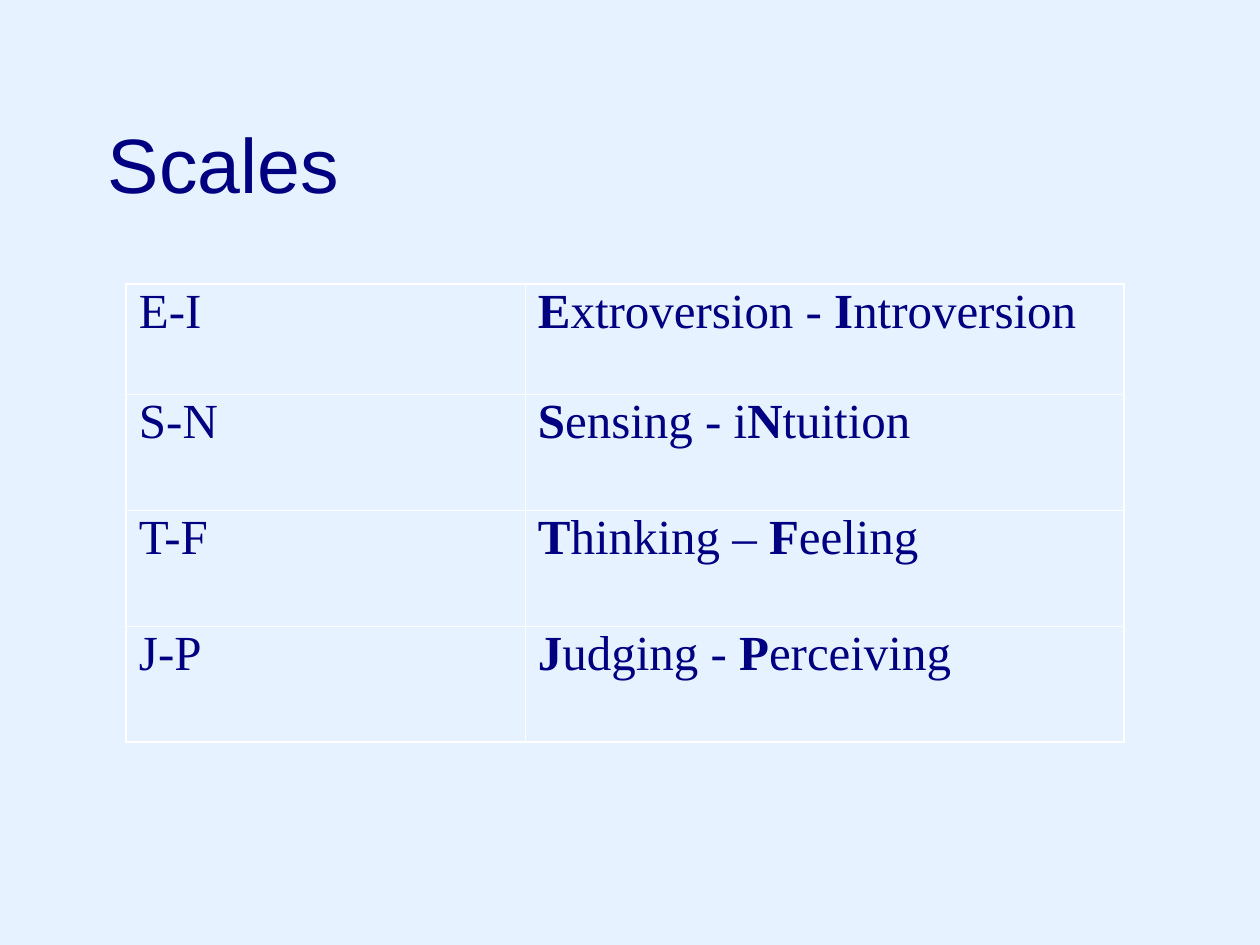
from lxml import etree
from pptx import Presentation
from pptx import util as u
from pptx.dml.color import RGBColor
from pptx.enum import text
from pptx.oxml import ns

PX = 914400 // 126
NAVY = RGBColor(0x00, 0x00, 0x80)
WHITE = RGBColor(0xFF, 0xFF, 0xFF)
PALE_BLUE = RGBColor(0xE6, 0xF2, 0xFF)

TITLE_FONT = {"name": "Arial", "size": u.Pt(44)}
SCALE_FONT = {"name": "Times New Roman", "size": u.Pt(28)}
INSETS = {"margin_left": 13 * PX, "margin_right": 13 * PX,
          "margin_top": 6 * PX, "margin_bottom": 6 * PX}
OUTER_PT, INNER_PT = 1.08, 0.45
COLUMN_WIDTHS = [399, 599]
ROW_HEIGHTS = [110, 116, 116, 116]

# Scale code, then its meaning as alternating bold and plain pieces
SCALES = [
    ("E-I", ["E", "xtroversion -", " I", "ntroversion"]),
    ("S-N", ["S", "ensing - i", "N", "tuition"]),
    ("T-F", ["T", "hinking – ", "F", "eeling"]),
    ("J-P", ["J", "udging - ", "P", "erceiving"]),
]


def apply(target, values):
    for name, value in values.items():
        setattr(target, name, value)


def add_run(paragraph, wording, font, bold=False):
    run = paragraph.add_run()
    run.text = wording
    apply(run.font, {**font, "bold": bold})
    run.font.color.rgb = NAVY


def add_title(slide, wording):
    frame = slide.shapes.add_textbox(95 * PX, 84 * PX, 1114 * PX, 158 * PX).text_frame
    apply(frame, {**INSETS, "word_wrap": True,
                  "vertical_anchor": text.MSO_ANCHOR.MIDDLE})
    add_run(frame.paragraphs[0], wording, TITLE_FONT)


def add_border(cell, side, width):
    properties = cell._tc.get_or_add_tcPr()
    line = etree.SubElement(properties, ns.qn(f"a:ln{side}"), w=str(int(u.Pt(width))))
    fill = etree.SubElement(line, ns.qn("a:solidFill"))
    etree.SubElement(fill, ns.qn("a:srgbClr"), val=str(WHITE))


def fill_cell(cell, pieces, outer_sides):
    """Write (wording, bold) pieces and draw heavier borders on the outer sides."""
    for side in "LRTB":
        add_border(cell, side, OUTER_PT if side in outer_sides else INNER_PT)
    cell.fill.background()
    apply(cell, INSETS)
    paragraph = cell.text_frame.paragraphs[0]
    paragraph.line_spacing = 0.9
    for wording, bold in pieces:
        add_run(paragraph, wording, SCALE_FONT, bold)


def add_scales_table(slide):
    table = slide.shapes.add_table(
        len(SCALES), len(COLUMN_WIDTHS), 126 * PX, 284 * PX,
        sum(COLUMN_WIDTHS) * PX, sum(ROW_HEIGHTS) * PX).table
    apply(table, {"first_row": False, "horz_banding": False})
    for column, width in zip(table.columns, COLUMN_WIDTHS):
        column.width = width * PX
    for row, height in zip(table.rows, ROW_HEIGHTS):
        row.height = height * PX
    for index, (code, meaning) in enumerate(SCALES):
        edge = {0: "T", len(SCALES) - 1: "B"}.get(index, "")
        fill_cell(table.cell(index, 0), [(code, False)], "L" + edge)
        pieces = [(piece, place % 2 == 0) for place, piece in enumerate(meaning)]
        fill_cell(table.cell(index, 1), pieces, "R" + edge)


def main():
    deck = Presentation()
    apply(deck, {"slide_width": 1260 * PX, "slide_height": 945 * PX})
    slide = deck.slides.add_slide(deck.slide_layouts[6])
    slide.background.fill.solid()
    slide.background.fill.fore_color.rgb = PALE_BLUE
    add_title(slide, "Scales")
    add_scales_table(slide)
    deck.save("out.pptx")


if __name__ == "__main__":
    main()
